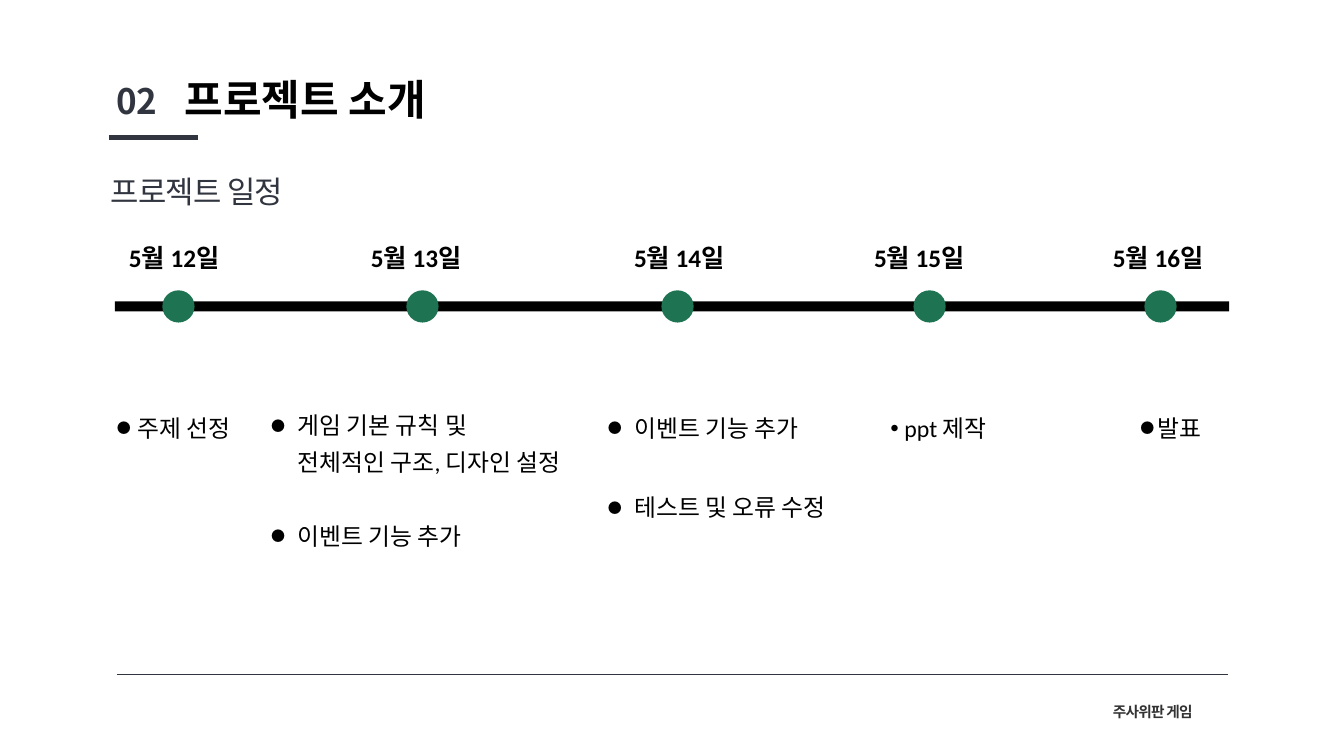
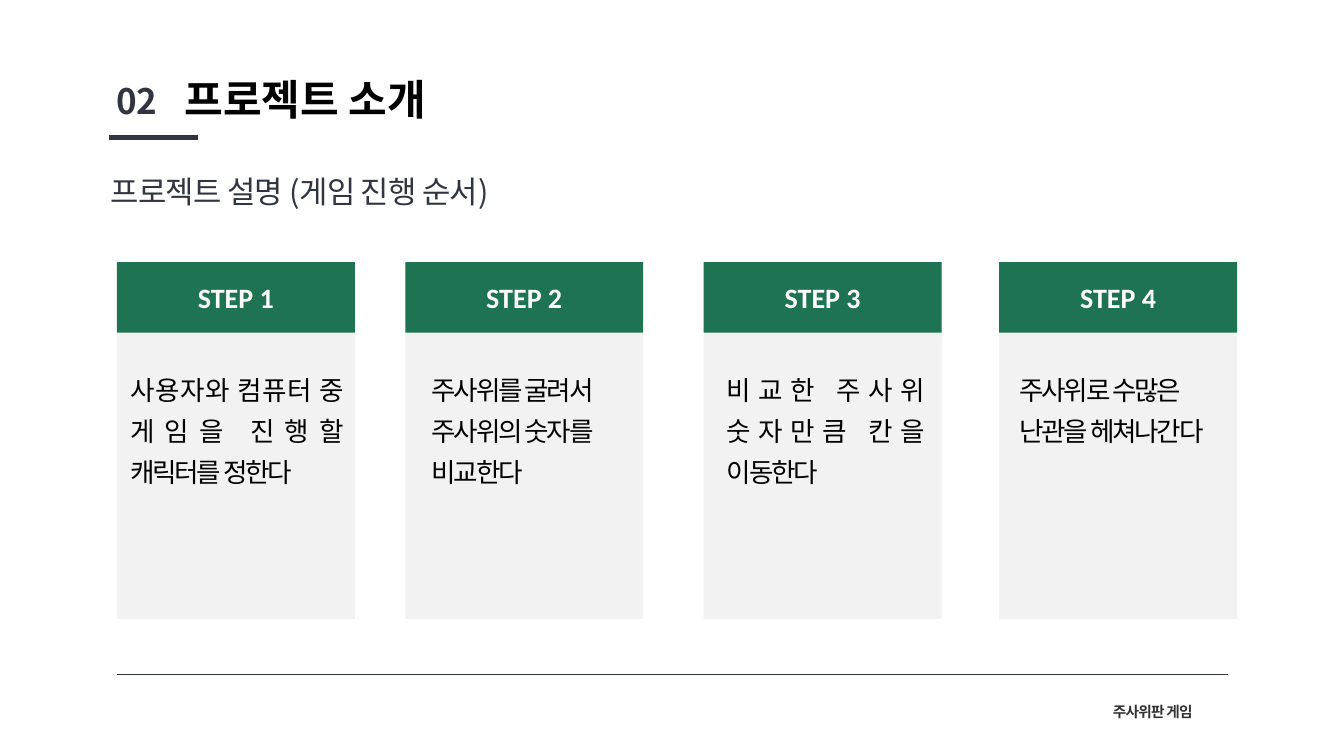
from copy import deepcopy
from dataclasses import dataclass

from lxml.etree import SubElement
from pptx import Presentation
from pptx.dml.color import RGBColor
from pptx.enum.shapes import MSO_CONNECTOR as Connector, MSO_SHAPE as Preset
from pptx.enum.text import MSO_ANCHOR as Anchor, MSO_AUTO_SIZE as AutoSize, PP_ALIGN as Align
from pptx.oxml.ns import qn
from pptx.util import Inches, Pt

BLACK, WHITE, NAVY, GREEN, GRAY, CHARCOAL = "000000", "FFFFFF", "313540", "1E7452", "F2F2F2", "333333"
LATIN, KOREAN = "Calibri", "Noto Sans CJK KR"
BODY_COUNT = 5


@dataclass(frozen=True)
class Milestone:
    date: str
    date_left: float
    dot_left: float
    list_left: float
    list_width: float
    items: tuple[str, ...]
    indent: float
    line_spacing: float = 1.4
    bullet_font: str = KOREAN


@dataclass(frozen=True)
class Step:
    left: float
    text_left: float
    text_width: float
    text: str


MILESTONES = (
    Milestone("5월 12일", 1.18, 1.61, 1.06, 1.85, ("주제 선정",), 0.2),
    Milestone("5월 13일", 3.58, 4.03, 2.59, 3.37,
              ("게임 기본 규칙 및\n전체적인 구조, 디자인 설정", "이벤트 기능 추가"), 0.26, 1.3),
    Milestone("5월 14일", 6.19, 6.56, 5.93, 2.71, ("이벤트 기능 추가", "테스트 및 오류 수정"), 0.26),
    Milestone("5월 15일", 8.57, 9.06, 8.73, 1.71, ("ppt 제작",), 0.14, 1.4, LATIN),
    Milestone("5월 16일", 10.94, 11.35, 11.21, 1.57, ("발표",), 0.17),
)

STEPS = (
    Step(1.16, 1.19, 2.3, "사용자와 컴퓨터 중 게임을 진행할 캐릭터를 정한다"),
    Step(4.02, 4.18, 2.24, "주사위를 굴려서\n주사위의 숫자를\n비교한다"),
    Step(6.98, 7.11, 2.14, "비교한 주사위 숫자만큼 칸을 이동한다"),
    Step(9.91, 10.01, 2.24, "주사위로 수많은\n난관을 헤쳐나간다"),
)


def rgb(color: str) -> RGBColor:
    return RGBColor.from_string(color)


def write(shape, text: str, *, size: float, font: str = LATIN, color: str = BLACK, bold: bool = False,
          tracking: float = 0, line_spacing: float = 1.0, align=Align.LEFT, anchor=Anchor.TOP,
          wrap: bool = True) -> list:
    frame = shape.text_frame
    frame.word_wrap = wrap
    frame.auto_size = AutoSize.NONE
    frame.vertical_anchor = anchor
    frame.text = text
    for paragraph in frame.paragraphs:
        paragraph.alignment = align
        paragraph.line_spacing = line_spacing
        paragraph.space_before = paragraph.space_after = Pt(0)
        for run in paragraph.runs:
            run.font.size = Pt(size)
            run.font.name = font
            run.font.bold = bold
            run.font.color.rgb = rgb(color)
            if tracking:
                run.font._element.set("spc", str(round(tracking * 100)))
    return list(frame.paragraphs)


def set_bullet(paragraph, indent: float = 0, font: str = "", hanging: bool = False) -> None:
    properties = paragraph._p.get_or_add_pPr()
    properties.set("marL", str(Inches(indent)))
    properties.set("indent", str(-Inches(indent) if hanging else 0))
    if hanging:
        SubElement(properties, qn("a:buSzPct")).set("val", "59000")
        SubElement(properties, qn("a:buFont")).set("typeface", font)
        SubElement(properties, qn("a:buChar")).set("char", "●")
    else:
        SubElement(properties, qn("a:buNone"))


def place(shape, left: float, top: float, width: float, height: float):
    shape.left, shape.top, shape.width, shape.height = map(Inches, (left, top, width, height))
    return shape


def bring_forward(slide, shape):
    slide.shapes._spTree.append(shape.element)
    return shape


def add_text(slide, left: float, top: float, width: float, height: float, text: str, **style) -> None:
    write(slide.shapes.add_textbox(*map(Inches, (left, top, width, height))), text, **style)


def add_block(slide, preset, left: float, top: float, width: float, height: float, color: str):
    shape = slide.shapes.add_shape(preset, *map(Inches, (left, top, width, height)))
    shape.shadow.inherit = False
    shape.fill.solid()
    shape.fill.fore_color.rgb = rgb(color)
    shape.line.fill.background()
    return shape


def add_rule(slide, left: float, right: float, top: float, weight: float) -> None:
    rule = slide.shapes.add_connector(Connector.STRAIGHT, *map(Inches, (left, top, right, top)))
    rule.line.color.rgb = rgb(NAVY)
    rule.line.width = Pt(weight)
    SubElement(rule.element.spPr, qn("a:effectLst"))


def prepare_layout(presentation):
    layout = presentation.slide_layouts[1]
    body = layout.placeholders[1].element
    for number in range(1, BODY_COUNT):
        extra = deepcopy(body)
        extra.xpath(".//p:ph")[0].set("idx", str(20 + number))
        extra.xpath(".//p:cNvPr")[0].set("id", str(20 + number))
        body.getparent().append(extra)
    return layout


def add_slide(presentation, layout, subtitle: str):
    slide = presentation.slides.add_slide(layout)
    write(place(slide.shapes.title, 1.73, 0.68, 3.38, 0.59), "프로젝트 소개", size=30, bold=True)
    add_text(slide, 1.06, 0.68, 0.71, 0.57, "02", size=25, font=KOREAN, color=NAVY, bold=True,
             tracking=-0.5, line_spacing=1.14)
    add_text(slide, 1, 1.61, 4.77, 0.51, subtitle, size=22, font=KOREAN, color=NAVY,
             tracking=-0.5, line_spacing=1.14)
    add_rule(slide, 1.08, 1.96, 1.36, 3.5)
    add_rule(slide, 1.16, 12.18, 6.69, 1)
    add_text(slide, 10.94, 6.89, 1.11, 0.31, "주사위판 게임", size=10.5, font=KOREAN, color=CHARCOAL,
             bold=True, tracking=-0.5, line_spacing=1.2, wrap=False)
    bodies = [holder for holder in slide.placeholders if holder.placeholder_format.idx != 0]
    return slide, bodies


def add_milestone(slide, body, milestone: Milestone) -> None:
    add_text(slide, milestone.date_left, 2.36, 1.52, 0.4, milestone.date, size=18, bold=True)
    add_block(slide, Preset.OVAL, milestone.dot_left, 2.88, 0.32, 0.32, GREEN)
    place(bring_forward(slide, body), milestone.list_left, 3.94, milestone.list_width, 2.25)
    paragraphs = iter(write(body, "\n".join(milestone.items), size=17, line_spacing=milestone.line_spacing))
    for item_number, item in enumerate(milestone.items):
        for line_number, _ in enumerate(item.split("\n")):
            paragraph = next(paragraphs)
            starts_item = line_number == 0
            if starts_item and item_number:
                paragraph.space_before = Pt(20 * milestone.line_spacing)
            set_bullet(paragraph, milestone.indent, milestone.bullet_font, starts_item)


def add_step(slide, body, number: int, step: Step) -> None:
    add_block(slide, Preset.RECTANGLE, step.left, 2.6, 2.36, 3.54, GRAY)
    header = add_block(slide, Preset.RECTANGLE, step.left, 2.6, 2.36, 0.7, GREEN)
    write(header, f"STEP {number}", size=20, color=WHITE, bold=True, align=Align.CENTER, anchor=Anchor.MIDDLE)
    place(bring_forward(slide, body), step.text_left, 3.56, step.text_width, 1.34)
    for paragraph in write(body, step.text, size=19, font=KOREAN, tracking=-1.5, line_spacing=1.3,
                           align=Align.JUSTIFY):
        set_bullet(paragraph)


def remove_unused(bodies: list) -> None:
    for body in bodies:
        body.element.getparent().remove(body.element)


def build_schedule(presentation, layout) -> None:
    slide, bodies = add_slide(presentation, layout, "프로젝트 일정")
    add_block(slide, Preset.RECTANGLE, 1.14, 2.99, 11.05, 0.1, BLACK)
    for body, milestone in zip(bodies, MILESTONES):
        add_milestone(slide, body, milestone)
    remove_unused(bodies[len(MILESTONES):])


def build_steps(presentation, layout) -> None:
    slide, bodies = add_slide(presentation, layout, "프로젝트 설명 (게임 진행 순서)")
    for number, (body, step) in enumerate(zip(bodies, STEPS), start=1):
        add_step(slide, body, number, step)
    remove_unused(bodies[len(STEPS):])


def main() -> None:
    presentation = Presentation()
    presentation.slide_width, presentation.slide_height = Inches(13.33), Inches(7.5)
    layout = prepare_layout(presentation)
    build_schedule(presentation, layout)
    build_steps(presentation, layout)
    presentation.save("out.pptx")


if __name__ == "__main__":
    main()
